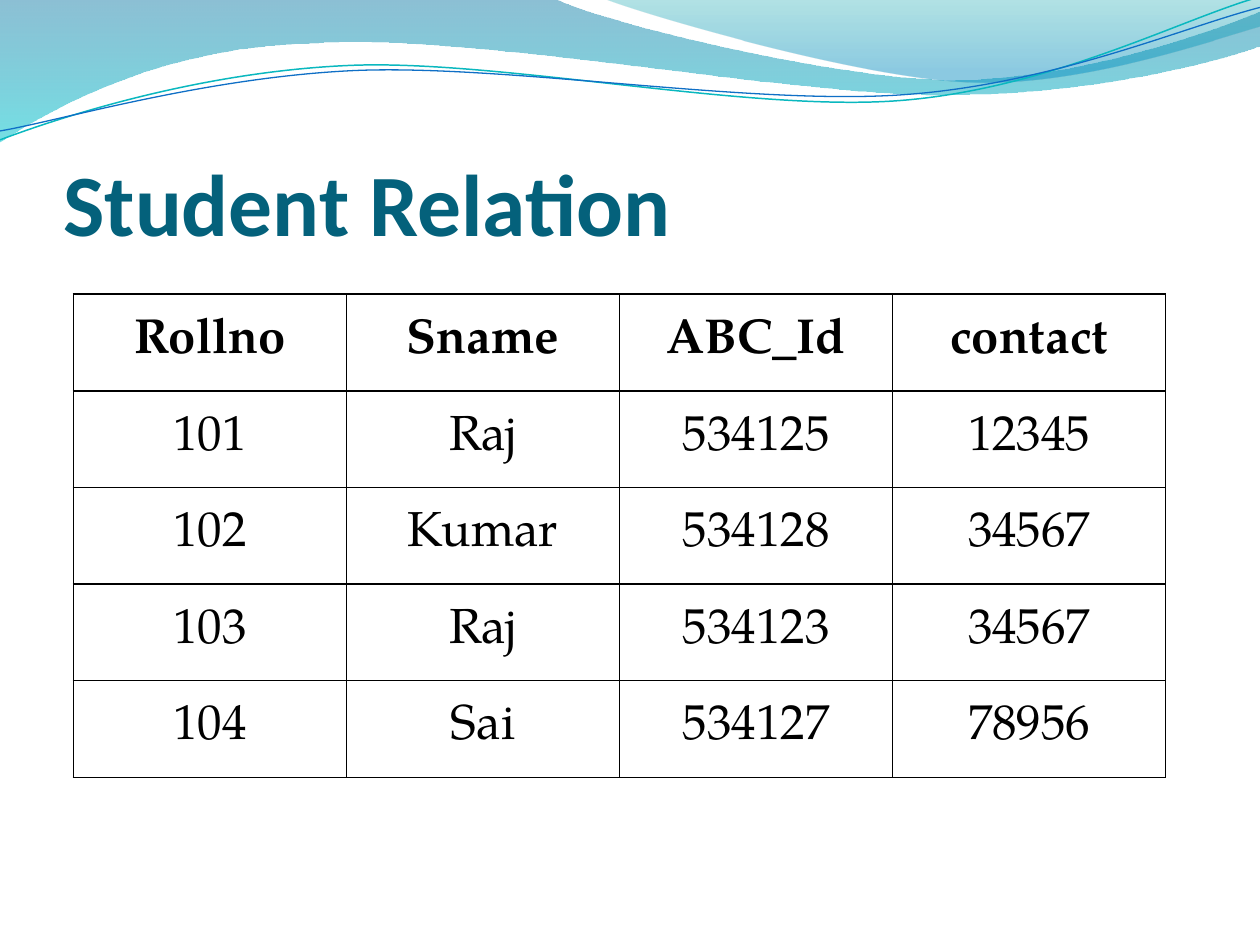
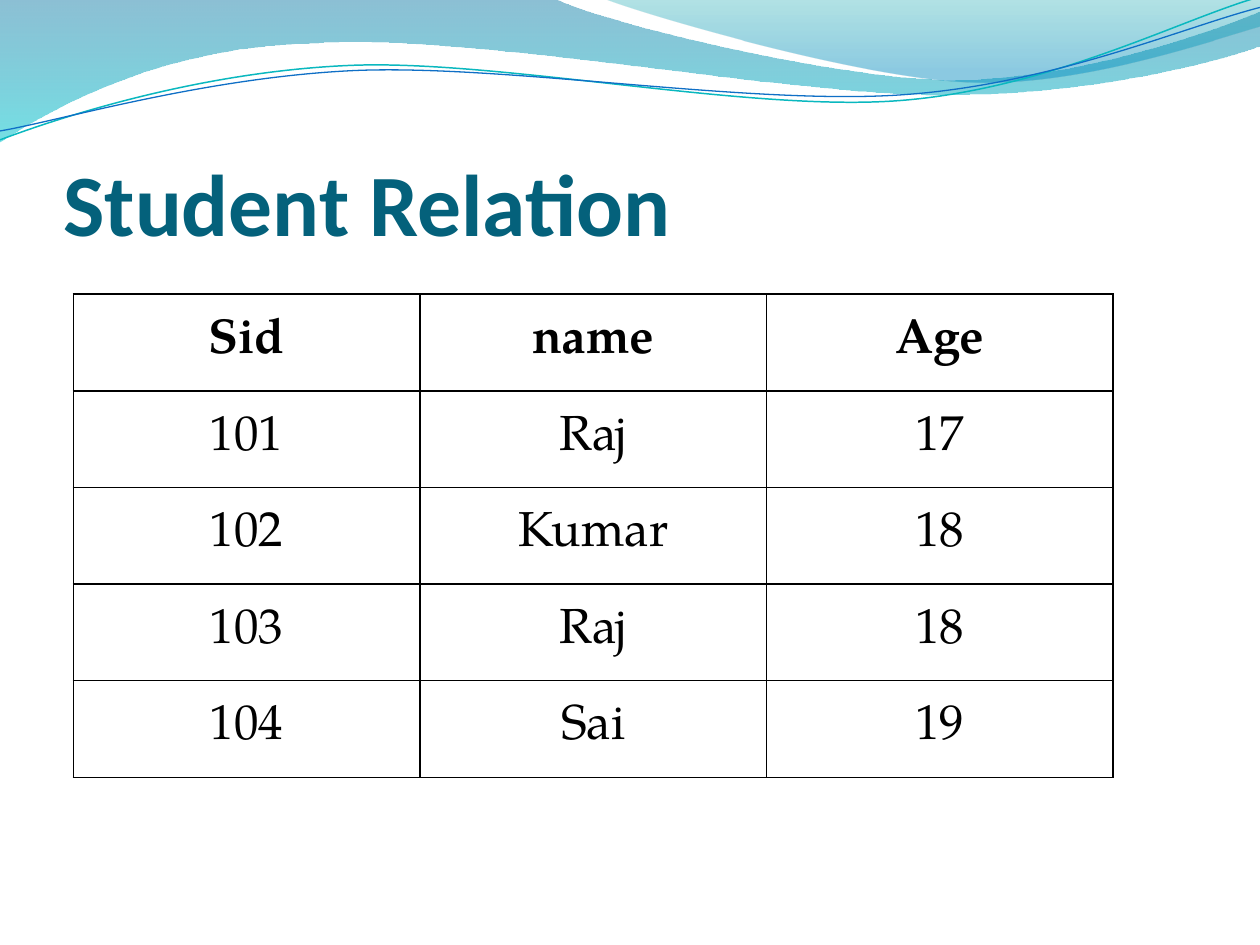
import math

from pptx import Presentation
from pptx import util as u
from pptx.dml.color import RGBColor
from pptx.enum import text
from pptx.oxml import parse_xml
from pptx.oxml.ns import nsdecls, qn
from lxml import etree

TITLE = RGBColor(0x04, 0x61, 0x7B)
BLACK = RGBColor(0, 0, 0)
DEEP_BLUE = RGBColor(0x00, 0x74, 0xA1)
CYAN = RGBColor(0x00, 0xC6, 0xCF)
TEAL = RGBColor(0x00, 0xA1, 0xA9)
SKY = RGBColor(0x00, 0x8B, 0xBF)
TEAL_LINE = RGBColor(0x0A, 0xB8, 0xBF)
BLUE_LINE = RGBColor(0x0F, 0x6F, 0xC6)

# Outlines in cm: a pair is a line end, six numbers are a cubic curve
BAND = [(0, 0), (11.18, -0.03),
        (12.09, 0.43, 16.87, 1.6, 19.25, 1.6),
        (21.67, 1.6, 24.33, 0.66, 25.4, 0.23), (25.43, 0.91),
        (24.97, 1.12, 22.1, 1.93, 18.95, 1.91),
        (15.8, 1.91, 9.7, 0.71, 6.53, 0.86),
        (3.28, 0.91, 1.17, 2.11, -0.03, 2.87)]
WEDGE = [(12.17, -0.03), (12.93, 0.28, 17.32, 1.57, 19.53, 1.65),
         (21.74, 1.75, 24.41, 0.81, 25.4, 0.53), (25.4, 0)]
TEAL_WAVE = [(0, 2.82), (1.22, 2.36, 4.01, 1.45, 7.04, 1.32),
             (10.03, 1.19, 15.06, 2.26, 18.11, 2.03),
             (21.16, 1.8, 23.83, 0.38, 25.35, -0.05)]
BLUE_WAVE = [(0, 2.64), (1.19, 2.44, 4.17, 1.55, 7.19, 1.42),
             (10.24, 1.3, 15.16, 2.13, 18.21, 1.91),
             (21.23, 1.7, 23.9, 0.53, 25.4, 0.15)]
WAVE_TILT = -2.7
WAVE_CENTRE = (12.68, 1.48)


def turn(x, y, degrees):
    """Turn a point clockwise about the centre of the waves."""
    a, (cx, cy) = math.radians(degrees), WAVE_CENTRE
    dx, dy = x - cx, y - cy
    return (cx + dx * math.cos(a) - dy * math.sin(a),
            cy + dx * math.sin(a) + dy * math.cos(a))


class Deck:
    heading_font = "Calibri"
    body_font = "TeX Gyre Pagella"

    def __init__(self):
        self.prs = Presentation()
        self.prs.slide_width, self.prs.slide_height = u.Cm(25.4), u.Cm(19.05)
        self.s = None

    def slide(self, title):
        self.s = self.prs.slides.add_slide(self.prs.slide_layouts[6])
        self.gradient(BAND, (0, DEEP_BLUE, 45), (1, CYAN, 55))
        self.gradient(WEDGE, (0, TEAL, 30), (0.8, SKY, 45))
        self.wave(TEAL_WAVE, TEAL_LINE, 0.85)
        self.wave(BLUE_WAVE, BLUE_LINE, 0.75)
        self.title(title)

    def outline(self, outline, close, tilt=0):
        pts = [turn(*seg[i:i + 2], -tilt) for seg in outline
               for i in range(0, len(seg), 2)]
        pts = [(u.Cm(x), u.Cm(y)) for x, y in pts]
        fb = self.s.shapes.build_freeform(*pts[0])
        fb.add_line_segments(pts[1:], close=close)
        sp = fb.convert_to_shape()
        sp.rotation = tilt
        sp.shadow.inherit = False
        # Join each three points of a curve into one cubic segment
        ends = iter(list(sp._element.iter(qn("a:lnTo"))))
        for seg in outline[1:]:
            first = next(ends)
            if len(seg) == 6:
                first.tag = qn("a:cubicBezTo")
                for _ in range(2):
                    extra = next(ends)
                    first.append(extra[0])
                    extra.getparent().remove(extra)
        return sp

    def gradient(self, outline, *stops):
        sp = self.outline(outline, True)
        sp.line.fill.background()
        sp.fill.gradient()
        sp.fill.gradient_angle = 270
        for stop, (position, color, _) in zip(sp.fill.gradient_stops, stops):
            stop.position = position
            stop.color.rgb = color
        # Opacity of each stop
        for clr, (_, _, opacity) in zip(sp._element.spPr.iter(qn("a:srgbClr")), stops):
            etree.SubElement(clr, qn("a:alpha")).set("val", str(opacity * 1000))

    def wave(self, outline, color, width):
        sp = self.outline(outline, False, WAVE_TILT)
        sp.fill.background()
        sp.line.color.rgb = color
        sp.line.width = u.Pt(width)

    def title(self, words):
        sp = self.s.shapes.add_textbox(u.Cm(1.28), u.Cm(1.95), u.Cm(22.86), u.Cm(3.17))
        tf = sp.text_frame
        tf.word_wrap = True
        tf.vertical_anchor = text.MSO_ANCHOR.BOTTOM
        tf.margin_left = tf.margin_right = tf.margin_bottom = 0
        p = tf.paragraphs[0]
        p.text = words
        self.font(p, self.heading_font, 50, TITLE, True)

    def font(self, p, name, size, color, bold):
        p.font.name, p.font.size, p.font.bold = name, u.Pt(size), bold
        p.font.color.rgb = color

    def table(self, rows, width):
        tbl = self.s.shapes.add_table(len(rows), len(rows[0]), u.Cm(1.48), u.Cm(5.93),
                                      u.Cm(width), u.Cm(9.74)).table
        tbl.horz_banding = False
        for i, row in enumerate(rows):
            for j, value in enumerate(row):
                cell = tbl.cell(i, j)
                self.border(cell)
                cell.fill.background()
                cell.vertical_anchor = text.MSO_ANCHOR.MIDDLE
                p = cell.text_frame.paragraphs[0]
                p.text = value
                p.alignment = text.PP_ALIGN.CENTER
                self.font(p, self.body_font, 28, BLACK, i == 0)

    def border(self, cell):
        tcPr = cell._tc.get_or_add_tcPr()
        for side in "LRTB":
            tcPr.append(parse_xml(
                f'<a:ln{side} {nsdecls("a")} w="{u.Pt(1)}"><a:solidFill>'
                f'<a:srgbClr val="{BLACK}"/></a:solidFill></a:ln{side}>'))


def main():
    deck = Deck()

    # Students with ids and contacts
    deck.slide("Student Relation")
    deck.table([("Rollno", "Sname", "ABC_Id", "contact"),
                ("101", "Raj", "534125", "12345"),
                ("102", "Kumar", "534128", "34567"),
                ("103", "Raj", "534123", "34567"),
                ("104", "Sai", "534127", "78956")], 22.02)

    # Students with ages
    deck.slide("Student Relation")
    deck.table([("Sid", "name", "Age"),
                ("101", "Raj", "17"),
                ("102", "Kumar", "18"),
                ("103", "Raj", "18"),
                ("104", "Sai", "19")], 20.96)

    deck.prs.save("out.pptx")


if __name__ == "__main__":
    main()
